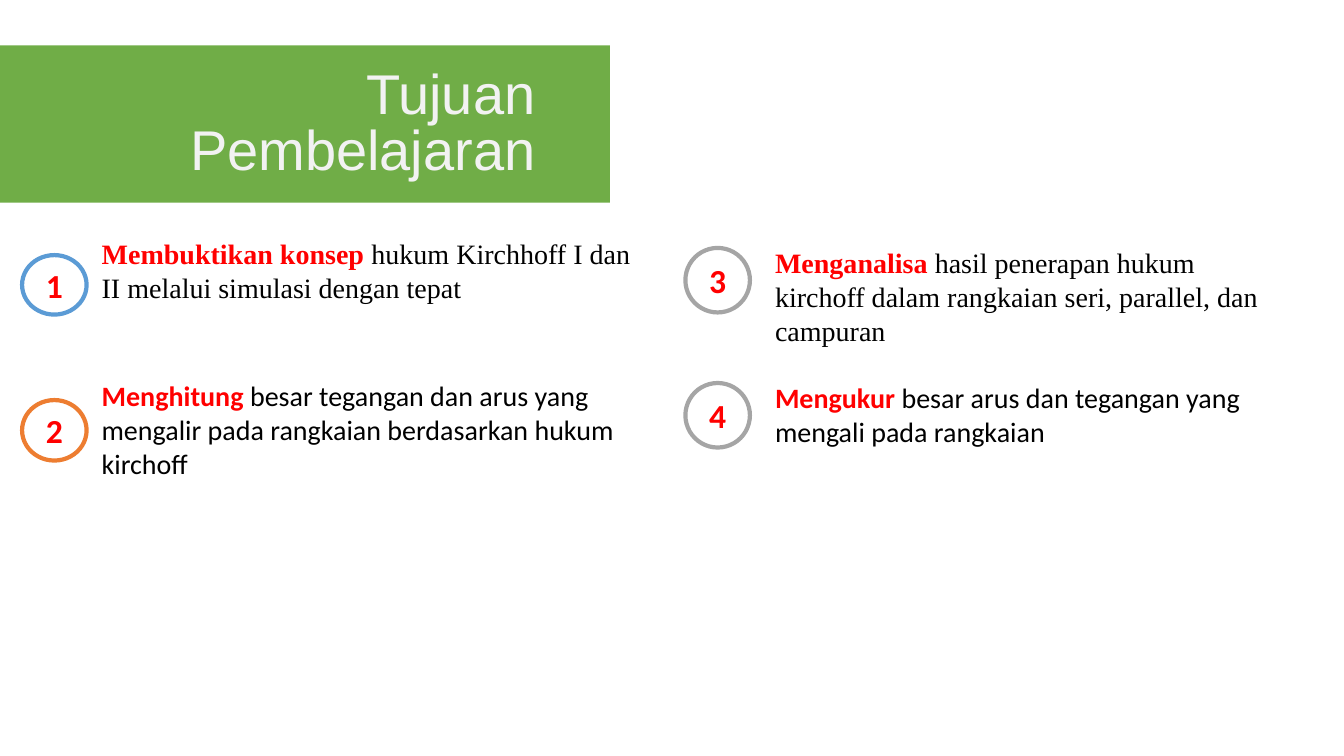
from pptx import Presentation
from pptx.dml.color import RGBColor
from pptx.enum.shapes import MSO_SHAPE as Shape
from pptx.enum.text import MSO_ANCHOR as Anchor, MSO_AUTO_SIZE as AutoSize, PP_ALIGN as Align
from pptx.util import Pt

COLORS = {
    "banner": "70AD47",
    "title": "F2F2F2",
    "accent": "FF0000",
    "body": "000000",
    "blue": "5B9BD5",
    "orange": "ED7D31",
    "gray": "A5A5A5",
}
LEFT_COLUMN = {"badge_left": 15.8, "goal_left": 65.5, "goal_width": 396.7}
RIGHT_COLUMN = {"badge_left": 489.6, "goal_left": 546.5, "goal_width": 361.4}
BADGE_WIDTH = 46.1
GOALS = [
    (LEFT_COLUMN, "blue", 182.2, 42.5, 165.6, 55.4, "Times New Roman",
     "Membuktikan konsep ", "hukum Kirchhoff I dan II melalui simulasi dengan tepat"),
    (LEFT_COLUMN, "orange", 285.8, 43.2, 267.1, 79.9, "Calibri",
     "Menghitung ",
     "besar tegangan dan arus yang mengalir pada rangkaian berdasarkan hukum kirchoff"),
    (RIGHT_COLUMN, "gray", 177.1, 46.1, 172.1, 79.9, "Times New Roman",
     "Menganalisa ",
     "hasil penerapan hukum kirchoff dalam rangkaian seri, parallel, dan campuran"),
    (RIGHT_COLUMN, "gray", 273.6, 46.1, 268.6, 55.4, "Calibri",
     "Mengukur ", "besar arus dan tegangan yang mengali pada rangkaian"),
]


def rgb(name):
    """Return the named palette colour."""
    return RGBColor.from_string(COLORS[name])


def style(run, font_name, size, color, bold=False):
    """Set the font of a run."""
    font = run.font
    font.name, font.size, font.bold = font_name, Pt(size), bold
    font.color.rgb = rgb(color)


def add_text_frame(slide, left, top, width, height):
    """Add a wrapping text box and return its frame."""
    frame = slide.shapes.add_textbox(Pt(left), Pt(top), Pt(width), Pt(height)).text_frame
    frame.word_wrap = True
    frame.auto_size = AutoSize.SHAPE_TO_FIT_TEXT
    return frame


def add_title(slide, title):
    """Add the green banner with the right-aligned title."""
    banner = slide.shapes.add_shape(Shape.RECTANGLE, Pt(0), Pt(32.4), Pt(435.6), Pt(112.3))
    banner.shadow.inherit = False
    banner.fill.solid()
    banner.fill.fore_color.rgb = rgb("banner")
    banner.line.fill.background()

    frame = add_text_frame(slide, 7.9, 49.7, 374.4, 80.6)
    frame.margin_left = frame.margin_right = frame.margin_top = frame.margin_bottom = 0
    frame.vertical_anchor = Anchor.MIDDLE
    heading = frame.paragraphs[0]
    heading.text = title
    heading.alignment = Align.RIGHT
    heading.line_spacing = Pt(40)
    style(heading.runs[0], "Arial", 40, "title")


def add_badge(slide, number, ring, left, top, height):
    """Add a ringed goal number."""
    badge = slide.shapes.add_shape(Shape.OVAL, Pt(left), Pt(top), Pt(BADGE_WIDTH), Pt(height))
    badge.shadow.inherit = False
    badge.fill.background()
    badge.line.color.rgb = rgb(ring)
    badge.line.width = Pt(3)
    badge.text_frame.vertical_anchor = Anchor.MIDDLE
    label = badge.text_frame.paragraphs[0]
    label.text = str(number)
    label.alignment = Align.CENTER
    style(label.runs[0], "Calibri", 24, "accent", bold=True)


def add_goal(slide, verb, detail, font_name, left, top, width, height):
    """Add a goal whose opening verb is highlighted."""
    goal = add_text_frame(slide, left, top, width, height).paragraphs[0]
    goal.text = verb
    style(goal.runs[0], font_name, 20, "accent", bold=True)
    rest = goal.add_run()
    rest.text = detail
    style(rest, font_name, 20, "body")


def main():
    """Build and save the learning goals slide."""
    deck = Presentation()
    deck.slide_width, deck.slide_height = Pt(960), Pt(540)
    slide = deck.slides.add_slide(deck.slide_layouts[6])
    add_title(slide, "Tujuan Pembelajaran")
    for number, goal in enumerate(GOALS, 1):
        column, ring, badge_top, badge_height, goal_top, goal_height, font_name, verb, detail = goal
        add_goal(slide, verb, detail, font_name,
                 column["goal_left"], goal_top, column["goal_width"], goal_height)
        add_badge(slide, number, ring, column["badge_left"], badge_top, badge_height)
    deck.save("out.pptx")


if __name__ == "__main__":
    main()
